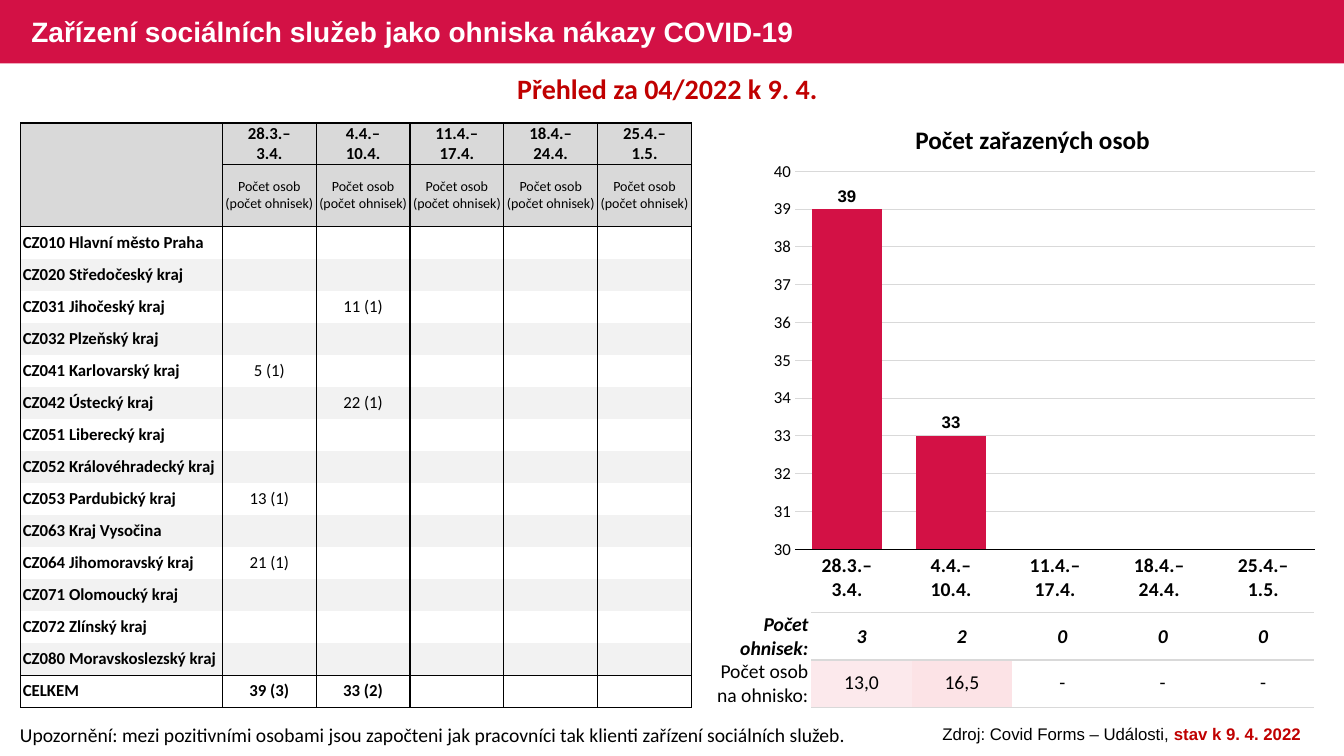
from dataclasses import dataclass, replace
from lxml import etree
from pptx import Presentation
from pptx.chart.data import CategoryChartData
from pptx.dml.color import RGBColor
from pptx.enum.chart import XL_CHART_TYPE, XL_LABEL_POSITION, XL_TICK_MARK
from pptx.enum.shapes import MSO_SHAPE
from pptx.enum.text import MSO_ANCHOR, MSO_AUTO_SIZE, PP_ALIGN
from pptx.oxml.ns import qn
from pptx.util import Emu, Inches, Pt

LEFT, CENTER, RIGHT = PP_ALIGN.LEFT, PP_ALIGN.CENTER, PP_ALIGN.RIGHT
MIDDLE, GROW = MSO_ANCHOR.MIDDLE, MSO_AUTO_SIZE.SHAPE_TO_FIT_TEXT
NO_TICKS, ABOVE_BAR = XL_TICK_MARK.NONE, XL_LABEL_POSITION.OUTSIDE_END
COLUMNS, RECTANGLE = XL_CHART_TYPE.COLUMN_CLUSTERED, MSO_SHAPE.RECTANGLE
SLIDE_W, SLIDE_H = Inches(13.33), Inches(7.5)
TITLE_ONLY = 5
PLAIN_TABLE = "{2D5ABB26-0587-4C30-8999-92F81FD0307C}"
CRIMSON, DARK_RED, BLACK, WHITE = "D31145", "C00000", "000000", "FFFFFF"
LIGHT_GREY, STRIPE_GREY = "D9D9D9", "F2F2F2"

WEEKS = ["28.3.–\n3.4.", "4.4.–\n10.4.", "11.4.–\n17.4.", "18.4.–\n24.4.", "25.4.–\n1.5."]
PEOPLE = [39, 33, None, None, None]
REGIONS = ["CZ010 Hlavní město Praha", "CZ020 Středočeský kraj", "CZ031 Jihočeský kraj",
           "CZ032 Plzeňský kraj", "CZ041 Karlovarský kraj", "CZ042 Ústecký kraj",
           "CZ051 Liberecký kraj", "CZ052 Královéhradecký kraj", "CZ053 Pardubický kraj",
           "CZ063 Kraj Vysočina", "CZ064 Jihomoravský kraj", "CZ071 Olomoucký kraj",
           "CZ072 Zlínský kraj", "CZ080 Moravskoslezský kraj"]
COUNTS = {"CZ031": ["", "11 (1)"], "CZ041": ["5 (1)"], "CZ042": ["", "22 (1)"],
          "CZ053": ["13 (1)"], "CZ064": ["21 (1)"]}


@dataclass(frozen=True)
class Area:
    """Left, top, width and height in percent of the slide."""
    left: float
    top: float
    width: float
    height: float

    def box(self) -> tuple[Emu, Emu, Emu, Emu]:
        return across(self.left), down(self.top), across(self.width), down(self.height)


@dataclass(frozen=True)
class Look:
    size: float
    color: str = BLACK
    bold: bool = False
    italic: bool = False
    face: str = "Calibri"


@dataclass(frozen=True)
class CellLook:
    font: Look
    align: PP_ALIGN = CENTER
    fill: str | None = None
    edges: str = ""
    edge_color: str = BLACK
    side_inset: float = 0.01


def across(percent: float) -> Emu:
    return Emu(round(SLIDE_W * percent / 100))

def down(percent: float) -> Emu:
    return Emu(round(SLIDE_H * percent / 100))

def rgb(color: str) -> RGBColor:
    return RGBColor.from_string(color)

def style_font(font, look: Look) -> None:
    font.name, font.size = look.face, Pt(look.size)
    font.bold, font.italic = look.bold, look.italic
    font.color.rgb = rgb(look.color)

def write(paragraph, words: list[tuple[str, Look]], align: PP_ALIGN) -> None:
    paragraph.alignment = align
    for text, look in words:
        for index, line in enumerate(text.split("\n")):
            if index:
                paragraph.add_line_break()
            run = paragraph.add_run()
            run.text = line
            style_font(run.font, look)

def add_text(slide, area: Area, words: list[tuple[str, Look]], align: PP_ALIGN) -> None:
    frame = slide.shapes.add_textbox(*area.box()).text_frame
    frame.word_wrap, frame.auto_size = True, GROW
    write(frame.paragraphs[0], words, align)

def fill_cell(cell, text: str, look: CellLook) -> None:
    cell.vertical_anchor = MIDDLE
    cell.margin_left = cell.margin_right = Inches(look.side_inset)
    cell.margin_top = cell.margin_bottom = 0
    paragraph = cell.text_frame.paragraphs[0]
    if text:
        write(paragraph, [(text, look.font)], look.align)
    else:
        etree.SubElement(paragraph._p, qn("a:endParaRPr"), sz=str(look.font.size * 100))
    for index, side in enumerate(look.edges):
        line = etree.Element(qn(f"a:ln{side}"), w=str(Pt(1)))
        paint = etree.SubElement(line, qn("a:solidFill"))
        etree.SubElement(paint, qn("a:srgbClr"), val=look.edge_color)
        cell._tc.get_or_add_tcPr().insert(index, line)
    if look.fill:
        cell.fill.solid()
        cell.fill.fore_color.rgb = rgb(look.fill)

def add_grid(slide, area: Area, widths: list[float], heights: list[float],
             rows: list[list[tuple[str, CellLook]]]) -> None:
    table = slide.shapes.add_table(len(rows), len(widths), *area.box()).table
    table.first_row = table.horz_banding = False
    table._tbl.tblPr.find(qn("a:tableStyleId")).text = PLAIN_TABLE
    for column, width in zip(table.columns, widths):
        column.width = across(width)
    for row, height, contents in zip(table.rows, heights, rows):
        row.height = down(height)
        for cell, (text, look) in zip(row.cells, contents):
            fill_cell(cell, text, look)

def add_region_table(slide) -> None:
    strong, plain = Look(12, bold=True), Look(12)
    head = CellLook(strong, fill=LIGHT_GREY, edges="LRTB")
    unit = replace(head, font=Look(10))
    rows = [[("", replace(head, edges="LRT"))] + [(week, head) for week in WEEKS],
            [("", replace(unit, edges="LRB"))] + [("Počet osob (počet ohnisek)", unit)] * 5]
    for index, region in enumerate(REGIONS):
        count = CellLook(plain, edges="LR", fill=STRIPE_GREY if index % 2 else None)
        label = replace(count, font=strong, align=LEFT, side_inset=0.02)
        counts = (COUNTS.get(region[:5], []) + [""] * 5)[:5]
        rows.append([(region, label)] + [(text, count) for text in counts])
    total = CellLook(strong, edges="LRTB")
    rows.append([("CELKEM", replace(total, align=LEFT, side_inset=0.02))]
                + [(text, total) for text in ("39 (3)", "33 (2)", "", "", "")])
    add_grid(slide, Area(1.55, 16.27, 49.89, 77.33), [15] + [6.98] * 5,
             [5.47, 8.27] + [4.24] * 15, rows)

def add_outbreak_values(slide) -> None:
    outbreaks = CellLook(Look(14, bold=True, italic=True))
    ratio = CellLook(Look(14))
    ratios = [("13,0", "FCE9EC"), ("16,5", "FCE3E6")] + [("-", None)] * 3
    rows = [[(count, outbreaks) for count in "32000"],
            [(text, replace(ratio, fill=tint)) for text, tint in ratios]]
    add_grid(slide, Area(60.37, 81.07, 37.35, 12.4), [7.47] * 5, [6.2] * 2, rows)

def add_outbreak_labels(slide) -> None:
    label = CellLook(Look(14, bold=True, italic=True), align=RIGHT, side_inset=0.03)
    ruled = CellLook(Look(10), edges="TB", edge_color=LIGHT_GREY)
    rows = [[(text, look)] + [("", ruled)] * 7 for text, look in (
        ("Počet ohnisek:", label), ("Počet osob na ohnisko:", replace(label, font=Look(14))))]
    add_grid(slide, Area(52.81, 81.07, 44.94, 12.4), [7.56] + [5.34] * 7, [6.2] * 2, rows)

def add_people_chart(slide) -> None:
    data = CategoryChartData()
    data.categories = WEEKS
    data.add_series("Series 1", PEOPLE)
    area = Area(56.71, 20.13, 42.09, 60.67)
    chart = slide.shapes.add_chart(COLUMNS, *area.box(), data).chart
    chart.has_legend = chart.has_title = False
    style_font(chart.font, Look(14, bold=True, face="Arial"))
    weeks, people = chart.category_axis, chart.value_axis
    weeks.major_tick_mark = people.major_tick_mark = NO_TICKS
    style_font(weeks.tick_labels.font, Look(14, bold=True))
    style_font(people.tick_labels.font, Look(12))
    people.format.line.fill.background()
    people.minimum_scale, people.maximum_scale, people.major_unit = 30, 40, 1
    for rule, color in ((weeks, BLACK), (people.major_gridlines, LIGHT_GREY)):
        rule.format.line.color.rgb = rgb(color)
        rule.format.line.width = Pt(0.75)
    plot = chart.plots[0]
    plot.gap_width, plot.vary_by_categories = 50, False
    bars = plot.series[0]
    bars.format.fill.solid()
    bars.format.fill.fore_color.rgb = rgb(CRIMSON)
    bars.data_labels.show_value = True
    bars.data_labels.position = ABOVE_BAR
    style_font(bars.data_labels.font, Look(12, bold=True, face="Arial"))
    plot_area = chart._chartSpace.find(".//" + qn("c:plotArea"))
    for stale in plot_area.findall(qn("c:layout")):
        plot_area.remove(stale)
    layout = etree.Element(qn("c:layout"))
    manual = etree.SubElement(layout, qn("c:manualLayout"))
    for name, value in (("layoutTarget", "inner"), ("xMode", "edge"), ("yMode", "edge")):
        etree.SubElement(manual, qn(f"c:{name}"), val=value)
    for name, percent in (("x", 5.8), ("y", 4.2), ("w", 92), ("h", 82.4)):
        etree.SubElement(manual, qn(f"c:{name}"), val=str(percent / 100))
    plot_area.insert(0, layout)

def add_heading(slide) -> None:
    band = slide.shapes.add_shape(RECTANGLE, *Area(0, 0, 100, 8.4).box())
    band.shadow.inherit = False
    band.fill.solid()
    band.fill.fore_color.rgb = rgb(CRIMSON)
    band.line.fill.background()
    slide.shapes._spTree.insert(2, band._element)
    title = slide.shapes.title
    title.left, title.top, title.width, title.height = Area(1.58, 0.27, 60.99, 8.4).box()
    title.text_frame.vertical_anchor = MIDDLE
    heading = title.text_frame.paragraphs[0]
    heading.line_spacing = 0.9
    write(heading, [("Zařízení sociálních služeb jako ohniska nákazy COVID-19",
                     Look(20, WHITE, bold=True, face="Arial"))], LEFT)

def main() -> None:
    deck = Presentation()
    deck.slide_width, deck.slide_height = SLIDE_W, SLIDE_H
    slide = deck.slides.add_slide(deck.slide_layouts[TITLE_ONLY])
    add_heading(slide)
    add_outbreak_values(slide)
    add_text(slide, Area(0.75, 94.93, 63.92, 4.53), [(
        "Upozornění: mezi pozitivními osobami jsou započteni jak pracovníci "
        "tak klienti zařízení sociálních služeb.", Look(14))], LEFT)
    add_text(slide, Area(1.58, 8.8, 96.17, 5.87),
             [("Přehled za 04/2022 k 9. 4.", Look(20, DARK_RED, bold=True))], CENTER)
    add_text(slide, Area(67.7, 95.07, 31.51, 4),
             [("Zdroj: Covid Forms – Události, ", Look(12, face="Arial")),
              ("stav k 9. 4. 2022", Look(12, DARK_RED, bold=True, face="Arial"))], CENTER)
    add_region_table(slide)
    add_people_chart(slide)
    add_text(slide, Area(56.68, 15.8, 40.29, 5.33),
             [("Počet zařazených osob", Look(18, bold=True))], CENTER)
    add_outbreak_labels(slide)
    deck.save("out.pptx")


if __name__ == "__main__":
    main()
